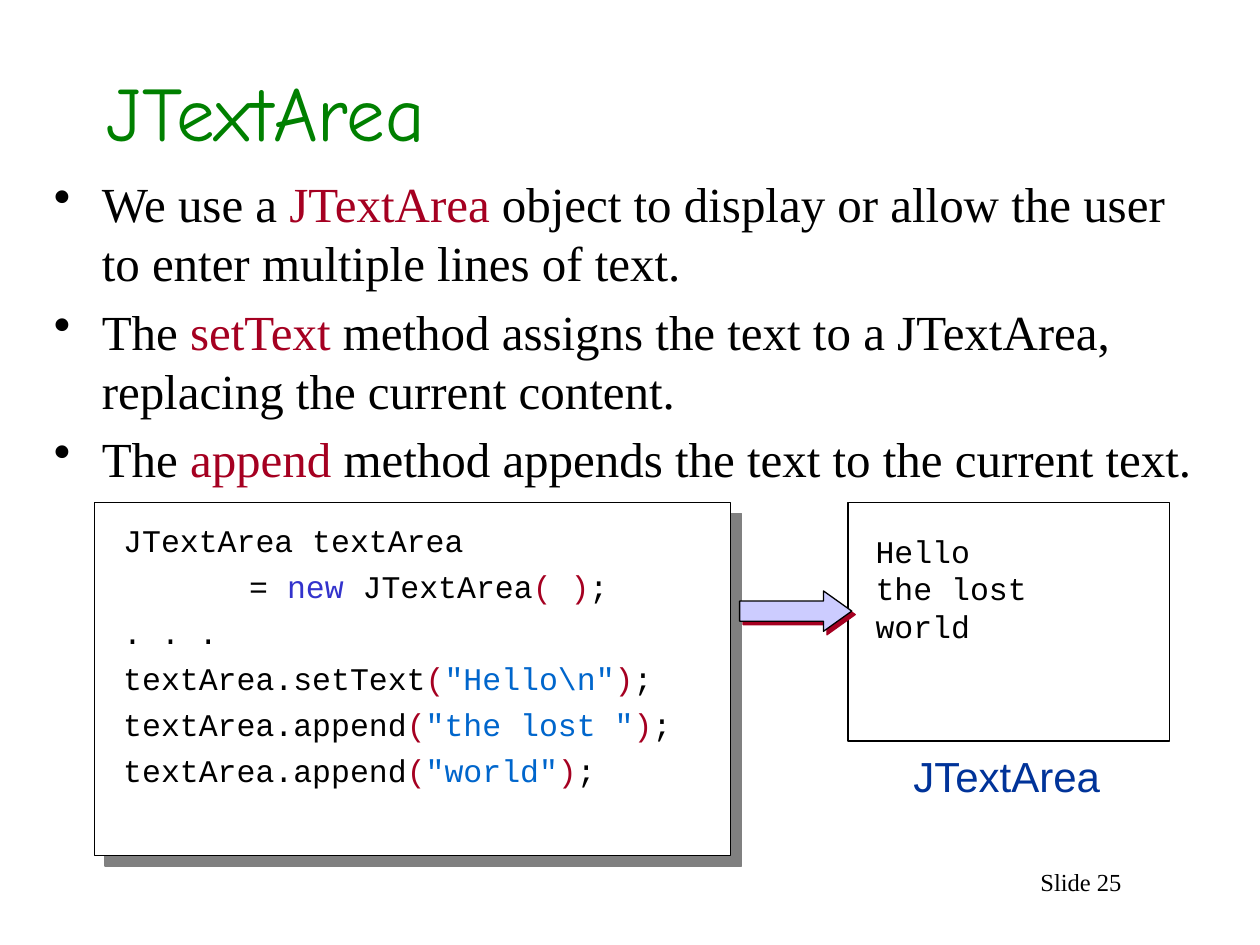
from lxml import etree
from pptx import Presentation
from pptx.dml.color import RGBColor
from pptx.enum.shapes import MSO_SHAPE
from pptx.enum.text import MSO_ANCHOR, PP_ALIGN
from pptx.oxml.ns import qn
from pptx.util import Inches, Pt

RECT, ARROW = MSO_SHAPE.RECTANGLE, MSO_SHAPE.RIGHT_ARROW
MIDDLE, RIGHT = MSO_ANCHOR.MIDDLE, PP_ALIGN.RIGHT
BLACK, WHITE, GRAY, RED = "000000", "FFFFFF", "808080", "A50021"
GREEN, NAVY, KEYWORD, STRING, LILAC = "008000", "003399", "3333CC", "0066CC", "CCCCFF"
SERIF, MONO = "Times New Roman", "Courier New"


def color(value):
    return RGBColor.from_string(value)


def add_text(s, box, paragraphs, font, size, para=None, bullet=False, tab=None,
             space_before=0, anchor=None):
    """Each paragraph is a list of (text, colour) runs."""
    tf = s.shapes.add_textbox(*map(Inches, box)).text_frame
    tf.word_wrap = True
    if anchor is not None:
        tf.vertical_anchor = anchor
    for i, runs in enumerate(paragraphs):
        p = tf.paragraphs[0] if i == 0 else tf.add_paragraph()
        for name, value in (para or {}).items():
            setattr(p, name, value)
        p.space_before = Pt(space_before if i else 0)
        pPr = p._p.get_or_add_pPr()
        if bullet:
            pPr.set("marL", str(Inches(0.38)))
            pPr.set("indent", str(-Inches(0.38)))
            etree.SubElement(pPr, qn("a:buChar"), char="•")
        if tab:
            tabs = etree.SubElement(pPr, qn("a:tabLst"))
            etree.SubElement(tabs, qn("a:tab"), pos=str(Inches(tab)), algn="l")
        for text, rgb in runs:
            r = p.add_run()
            r.text = text
            for name, value in {"name": font, "size": Pt(size)}.items():
                setattr(r.font, name, value)
            r.font.color.rgb = color(rgb)


def add_outline(s, kind, box, fill=None, shadow=None):
    """Black outlined shape; shadow is (colour, distance in points)."""
    sp = s.shapes.add_shape(kind, *map(Inches, box))
    sp.shadow.inherit = False
    if fill:
        sp.fill.solid()
        sp.fill.fore_color.rgb = color(fill)
    else:
        sp.fill.background()
    sp.line.color.rgb = color(BLACK)
    sp.line.width = Pt(0.75)
    if shadow:
        rgb, dist = shadow
        effects = sp._element.spPr.find(qn("a:effectLst"))
        outer = etree.SubElement(effects, qn("a:outerShdw"), dist=str(Pt(dist)),
                                 dir="2700000", algn="ctr", rotWithShape="0")
        etree.SubElement(outer, qn("a:srgbClr"), val=rgb)
    return sp


def add_bullets(s, box):
    items = [
        ("We use a ", "JTextArea",
         " object to display or allow the user to enter multiple lines of text."),
        ("The ", "setText",
         " method assigns the text to a JTextArea, replacing the current content."),
        ("The ", "append", " method appends the text to the current text."),
    ]
    add_text(s, box, [list(zip(item, (BLACK, RED, BLACK))) for item in items],
             SERIF, 28, bullet=True, space_before=5.6)


def call(method, argument):
    return [(f"textArea.{method}", BLACK), ("(", RED), (argument, STRING),
            (")", RED), (";", BLACK)]


def add_code(s, box):
    x, y, w, h = box
    add_outline(s, RECT, box, WHITE, (GRAY, 8.5))
    lines = [
        [("JTextArea textArea", BLACK)],
        [("\t\t= ", BLACK), ("new", KEYWORD), (" JTextArea", BLACK),
         ("( )", RED), (";", BLACK)],
        [(". . .", BLACK)],
        call("setText", '"Hello\\n"'),
        call("append", '"the lost "'),
        call("append", '"world"'),
    ]
    add_text(s, (x + 0.13, y + 0.15, w - 0.19, h - 0.51), lines, MONO, 18,
             para={"line_spacing": 0.8}, tab=0.5, space_before=9)


def add_output(s, box):
    x, y, w, h = box
    add_outline(s, RECT, box)
    add_text(s, (x + 0.12, y + 0.18, w - 0.26, 0.7),
             [[("Hello", BLACK)], [("the lost world", BLACK)]], MONO, 18)
    add_text(s, (x + 0.42, y + h + 0.03, 1.72, 0.5), [[("JTextArea", NAVY)]], "Arial", 24)


def add_arrow(s, box):
    sp = add_outline(s, ARROW, box, LILAC, (RED, 2.8))
    sp.adjustments[0], sp.adjustments[1] = 0.5, 0.7


def main():
    prs = Presentation()
    prs.slide_width, prs.slide_height = Inches(10), Inches(7.5)
    s = prs.slides.add_slide(prs.slide_layouts[6])
    # Slide number, title and bullets
    add_text(s, (6.92, 6.83, 2.08, 0.5), [[("Slide 25", BLACK)]], SERIF, 14,
             para={"alignment": RIGHT})
    add_text(s, (0.75, 0.5, 8.5, 0.75), [[("JTextArea", GREEN)]], "Comic Neue", 44,
             anchor=MIDDLE)
    add_bullets(s, (0.33, 1.33, 9.33, 2.42))
    # Code, its output and the arrow between them
    add_code(s, (0.75, 3.99, 5.05, 2.8))
    add_output(s, (6.73, 3.99, 2.55, 1.89))
    add_arrow(s, (5.87, 4.69, 0.89, 0.32))
    prs.save("out.pptx")


if __name__ == "__main__":
    main()
